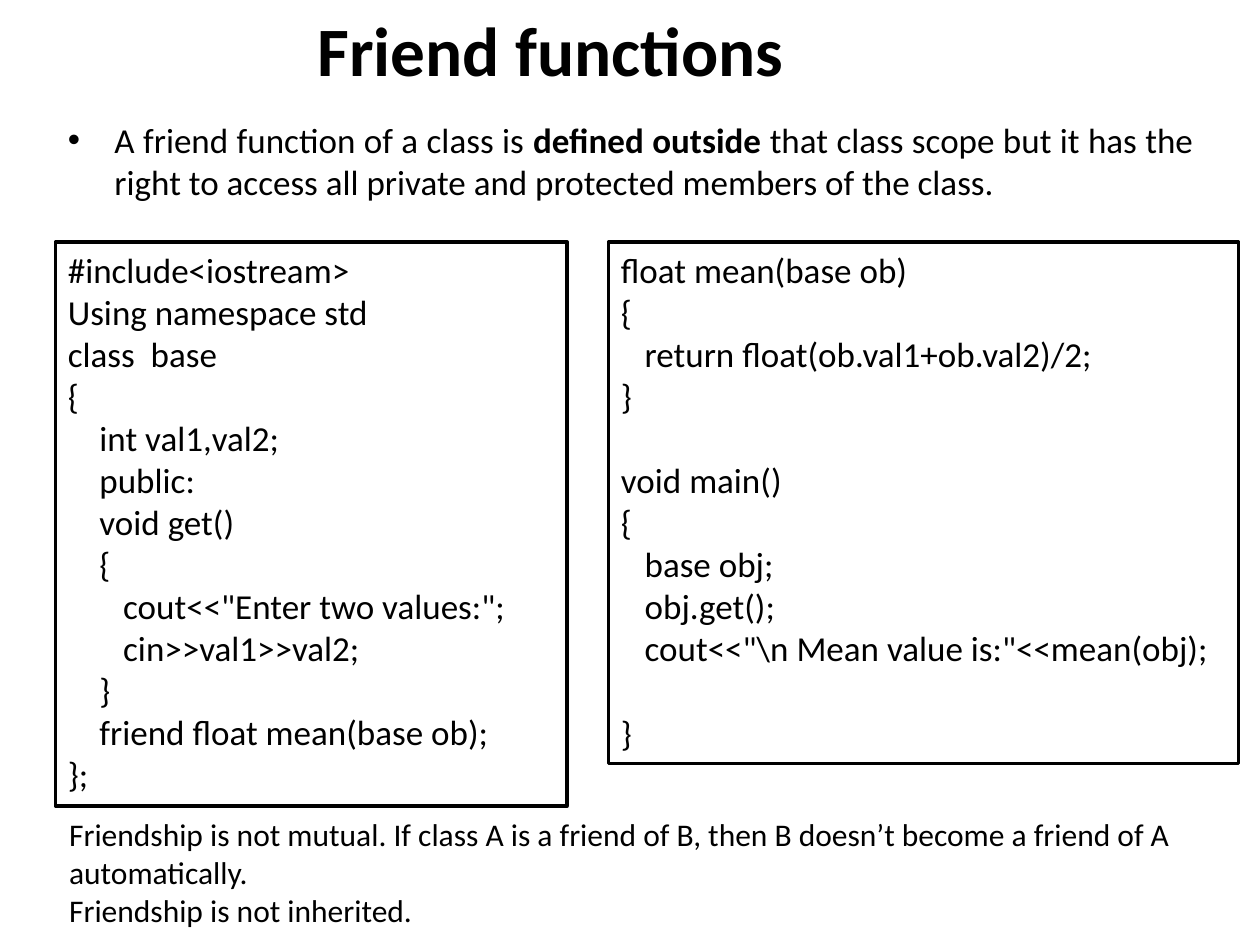
from lxml.etree import SubElement
from pptx import Presentation
from pptx.dml.color import RGBColor
from pptx.enum.shapes import MSO_SHAPE as Shape
from pptx.enum.text import MSO_ANCHOR as Anchor, PP_ALIGN as Align
from pptx.oxml.ns import qn
from pptx.util import Inches, Pt

INK = RGBColor(0, 0, 0)
PAPER = RGBColor(255, 255, 255)
FONT = "Calibri"
WIDTH, HEIGHT = Inches(10), Inches(7.5)
LEFT_COLUMN, RIGHT_COLUMN = 0.044, 0.483
CODE_TOP = 0.256
CODE_SIZE = 20
CODE_LINE = Pt(24.4)
SPACE = Pt(4.52)

# Each code line: (indent in spaces, blank lines above, text)
CLASS_CODE = [
    (0, 0, "#include<iostream>"),
    (0, 0, "Using namespace std"),
    (0, 0, "class  base"),
    (0, 0, "{"),
    (4, 0, "int val1,val2;"),
    (4, 0, "public:"),
    (4, 0, "void get()"),
    (4, 0, "{"),
    (7, 0, 'cout<<"Enter two values:";'),
    (7, 0, "cin>>val1>>val2;"),
    (4, 0, "}"),
    (4, 0, "friend float mean(base ob);"),
    (0, 0, "};"),
]
MAIN_CODE = [
    (0, 0, "float mean(base ob)"),
    (0, 0, "{"),
    (3, 0, "return float(ob.val1+ob.val2)/2;"),
    (0, 0, "}"),
    (0, 1, "void main()"),
    (0, 0, "{"),
    (3, 0, "base obj;"),
    (3, 0, "obj.get();"),
    (3, 0, 'cout<<"\\n Mean value is:"<<mean(obj);'),
    (0, 1, "}"),
]
DEFINITION = [
    ("A friend function of a class is ", False),
    ("defined outside", True),
    (" that class scope but it has the right to access all private "
     "and protected members of the class.", False),
]
NOTES = [
    "Friendship is not mutual. If class A is a friend of B, "
    "then B doesn’t become a friend of A automatically.",
    "Friendship is not inherited.",
]


def place(left, top, width, height):
    """Turn shares of the slide into lengths."""
    return (int(WIDTH * left), int(HEIGHT * top),
            int(WIDTH * width), int(HEIGHT * height))


def add_frame(slide, *area):
    frame = slide.shapes.add_textbox(*place(*area)).text_frame
    frame.word_wrap = True
    return frame


def next_paragraph(frame, index):
    return frame.add_paragraph() if index else frame.paragraphs[0]


def add_run(paragraph, text, size, bold=False):
    run = paragraph.add_run()
    run.text = text
    run.font.name = FONT
    run.font.size = Pt(size)
    run.font.bold = bold
    run.font.color.rgb = INK


def indent(paragraph, margin, first_line=0):
    properties = paragraph._p.get_or_add_pPr()
    properties.set("marL", str(int(margin)))
    properties.set("indent", str(int(first_line)))
    return properties


def add_title(slide, text):
    frame = add_frame(slide, 0.037, 0.011, 0.8, 0.081)
    frame.vertical_anchor = Anchor.MIDDLE
    title = frame.paragraphs[0]
    title.alignment = Align.CENTER
    add_run(title, text, 39.6, bold=True)


def add_definition(slide, parts):
    definition = add_frame(slide, LEFT_COLUMN, 0.119, 0.913, 0.115).paragraphs[0]
    definition.alignment = Align.JUSTIFY
    properties = indent(definition, Inches(0.37), -Inches(0.37))
    SubElement(properties, qn("a:buFont"), typeface="Arial")
    SubElement(properties, qn("a:buChar"), char="•")
    for text, bold in parts:
        add_run(definition, text, CODE_SIZE, bold)


def add_code(slide, left, width, height, lines):
    box = slide.shapes.add_shape(Shape.RECTANGLE,
                                 *place(left, CODE_TOP, width, height))
    box.shadow.inherit = False
    box.fill.solid()
    box.fill.fore_color.rgb = PAPER
    box.line.color.rgb = INK
    box.line.width = Pt(2)
    frame = box.text_frame
    frame.word_wrap = True
    frame.vertical_anchor = Anchor.TOP
    for index, (spaces, gap, text) in enumerate(lines):
        line = next_paragraph(frame, index)
        line.alignment = Align.LEFT
        indent(line, spaces * SPACE)
        line.space_before = gap * CODE_LINE
        add_run(line, text, CODE_SIZE)


def add_notes(slide, notes):
    frame = add_frame(slide, 0.045, 0.856, 0.925, 0.135)
    for index, note in enumerate(notes):
        add_run(next_paragraph(frame, index), note, 18)


def main():
    deck = Presentation()
    deck.slide_width, deck.slide_height = WIDTH, HEIGHT
    slide = deck.slides.add_slide(deck.slide_layouts[6])
    add_title(slide, "Friend functions")
    add_definition(slide, DEFINITION)
    add_code(slide, LEFT_COLUMN, 0.406, 0.597, CLASS_CODE)
    add_code(slide, RIGHT_COLUMN, 0.5, 0.552, MAIN_CODE)
    add_notes(slide, NOTES)
    deck.save("out.pptx")


if __name__ == "__main__":
    main()
